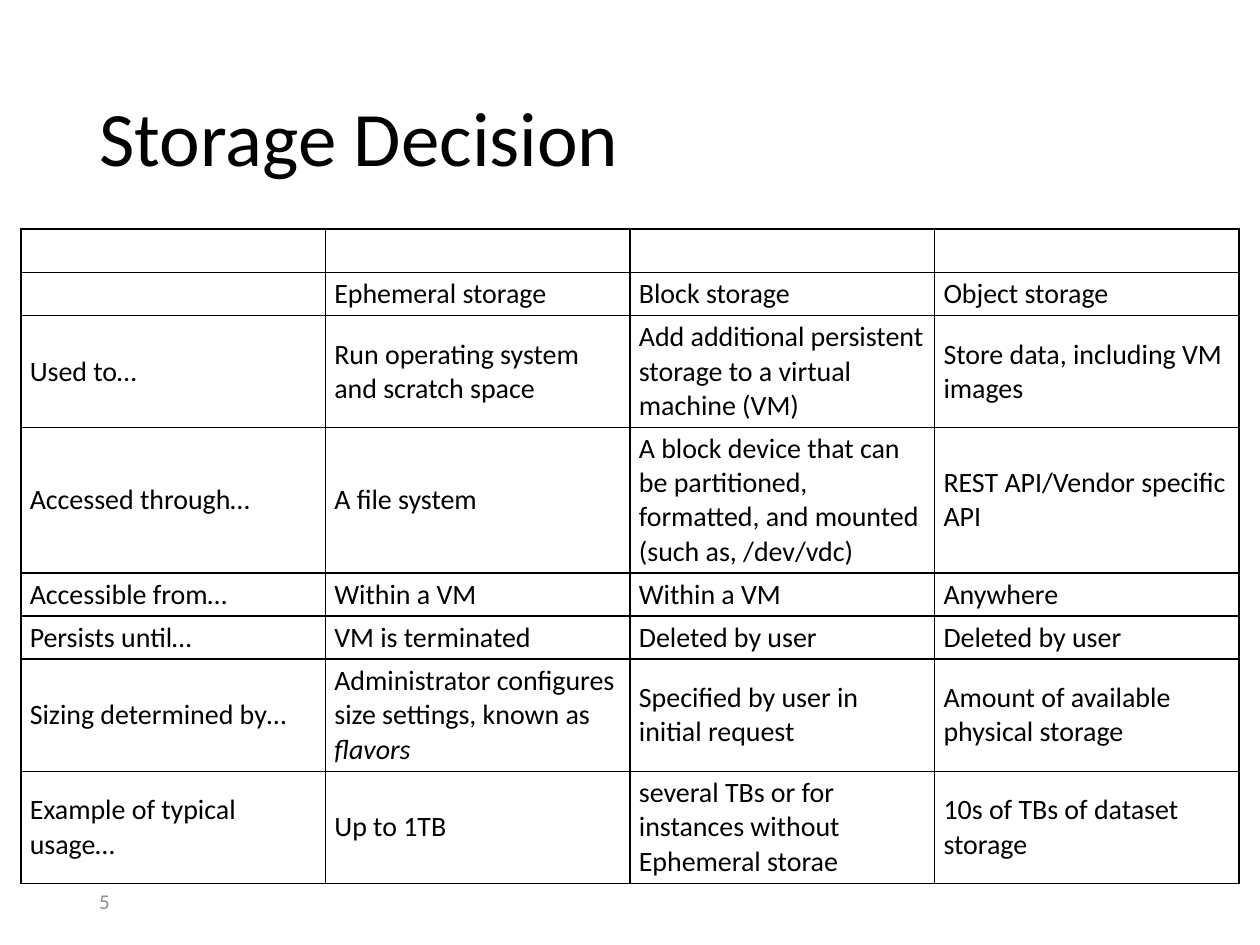
from dataclasses import dataclass

import pptx
import pptx.dml.color
import pptx.enum.text
import pptx.oxml.ns
import pptx.util
from lxml import etree
from pptx.util import Cm

COLORS = {"text": "000000", "border": "000000", "number": "8C8C8C"}
FONT = "Calibri"
BODY_SIZE = 16
MIDDLE = pptx.enum.text.MSO_ANCHOR.MIDDLE
LEFT = pptx.enum.text.PP_ALIGN.LEFT


@dataclass
class StorageRow:
    height: float
    label: str = ""
    ephemeral: str = ""
    block: str = ""
    object_store: str = ""

    def texts(self) -> tuple:
        return self.label, self.ephemeral, self.block, self.object_store


# Row heights in cm for one, three and four lines of text
ONE_LINE, THREE_LINES, FOUR_LINES = 0.87, 2.26, 2.93
COLUMN_WIDTH = 6.14
ITALIC_MARK = "*"

ROWS = [
    StorageRow(ONE_LINE),
    StorageRow(ONE_LINE, "", "Ephemeral storage", "Block storage", "Object storage"),
    StorageRow(THREE_LINES, "Used to…", "Run operating system and scratch space",
               "Add additional persistent storage to a virtual machine (VM)",
               "Store data, including VM images"),
    StorageRow(FOUR_LINES, "Accessed through…", "A file system",
               "A block device that can be partitioned, formatted, and mounted "
               "(such as, /dev/vdc)",
               "REST API/Vendor specific API"),
    StorageRow(ONE_LINE, "Accessible from…", "Within a VM", "Within a VM", "Anywhere"),
    StorageRow(ONE_LINE, "Persists until…", "VM is terminated", "Deleted by user",
               "Deleted by user"),
    StorageRow(THREE_LINES, "Sizing determined by…",
               "Administrator configures size settings, known as *flavors",
               "Specified by user in initial request",
               "Amount of available physical storage"),
    StorageRow(THREE_LINES, "Example of typical usage…", "Up to 1TB",
               "several TBs or for instances without Ephemeral storae",
               "10s of TBs of dataset storage"),
]


def format_run(run, size: float, color: str, italic: bool = False) -> None:
    run.font.name = FONT
    run.font.size = pptx.util.Pt(size)
    run.font.bold = False
    run.font.italic = italic
    run.font.color.rgb = pptx.dml.color.RGBColor.from_string(COLORS[color])


def write_line(frame, text: str, size: float, color: str) -> None:
    frame.text = text
    frame.word_wrap = True
    frame.vertical_anchor = MIDDLE
    frame.paragraphs[0].alignment = LEFT
    format_run(frame.paragraphs[0].runs[0], size, color)


def add_borders(cell) -> None:
    properties = cell._tc.get_or_add_tcPr()
    qn = pptx.oxml.ns.qn
    for side in ("a:lnL", "a:lnR", "a:lnT", "a:lnB"):
        line = etree.SubElement(properties, qn(side), w=str(pptx.util.Pt(1)))
        fill = etree.SubElement(line, qn("a:solidFill"))
        etree.SubElement(fill, qn("a:srgbClr"), val=COLORS["border"])


def fill_cell(cell, text: str) -> None:
    cell.margin_left = cell.margin_right = Cm(0.18)
    cell.margin_top = cell.margin_bottom = Cm(0.08)
    cell.vertical_anchor = MIDDLE
    add_borders(cell)
    cell.fill.background()

    paragraph = cell.text_frame.paragraphs[0]
    if not text:
        # An empty cell keeps the body size so that its row stays low
        etree.SubElement(paragraph._p, pptx.oxml.ns.qn("a:endParaRPr"),
                         sz=str(BODY_SIZE * 100))
        return
    plain, _, emphasis = text.partition(ITALIC_MARK)
    paragraph.text = plain
    format_run(paragraph.runs[0], BODY_SIZE, "text")
    if emphasis:
        run = paragraph.add_run()
        run.text = emphasis
        format_run(run, BODY_SIZE, "text", italic=True)


def add_storage_table(slide, rows: list) -> None:
    columns = len(rows[0].texts())
    table = slide.shapes.add_table(
        len(rows), columns, Cm(0.42), Cm(4.62), Cm(COLUMN_WIDTH * columns),
        Cm(sum(row.height for row in rows))).table
    table.first_row = table.horz_banding = False
    for column in table.columns:
        column.width = Cm(COLUMN_WIDTH)
    for r, row in enumerate(rows):
        table.rows[r].height = Cm(row.height)
        for c, text in enumerate(row.texts()):
            fill_cell(table.cell(r, c), text)


def main() -> None:
    presentation = pptx.Presentation()
    presentation.slide_width, presentation.slide_height = Cm(25.4), Cm(19.05)
    slide = presentation.slides.add_slide(presentation.slide_layouts[5])

    # Title
    title = slide.shapes.title
    title.left, title.top, title.width, title.height = (
        Cm(1.75), Cm(1.02), Cm(21.9), Cm(3.68))
    write_line(title.text_frame, "Storage Decision", 44, "text")
    title.text_frame.auto_size = pptx.enum.text.MSO_AUTO_SIZE.NONE
    title.text_frame.paragraphs[0].line_spacing = 0.9

    # Slide number
    number = slide.shapes.add_textbox(Cm(1.75), Cm(17.65), Cm(5.72), Cm(1.02))
    write_line(number.text_frame, "5", 12, "number")

    # Comparison of storage types
    add_storage_table(slide, ROWS)

    presentation.save("out.pptx")


if __name__ == "__main__":
    main()
